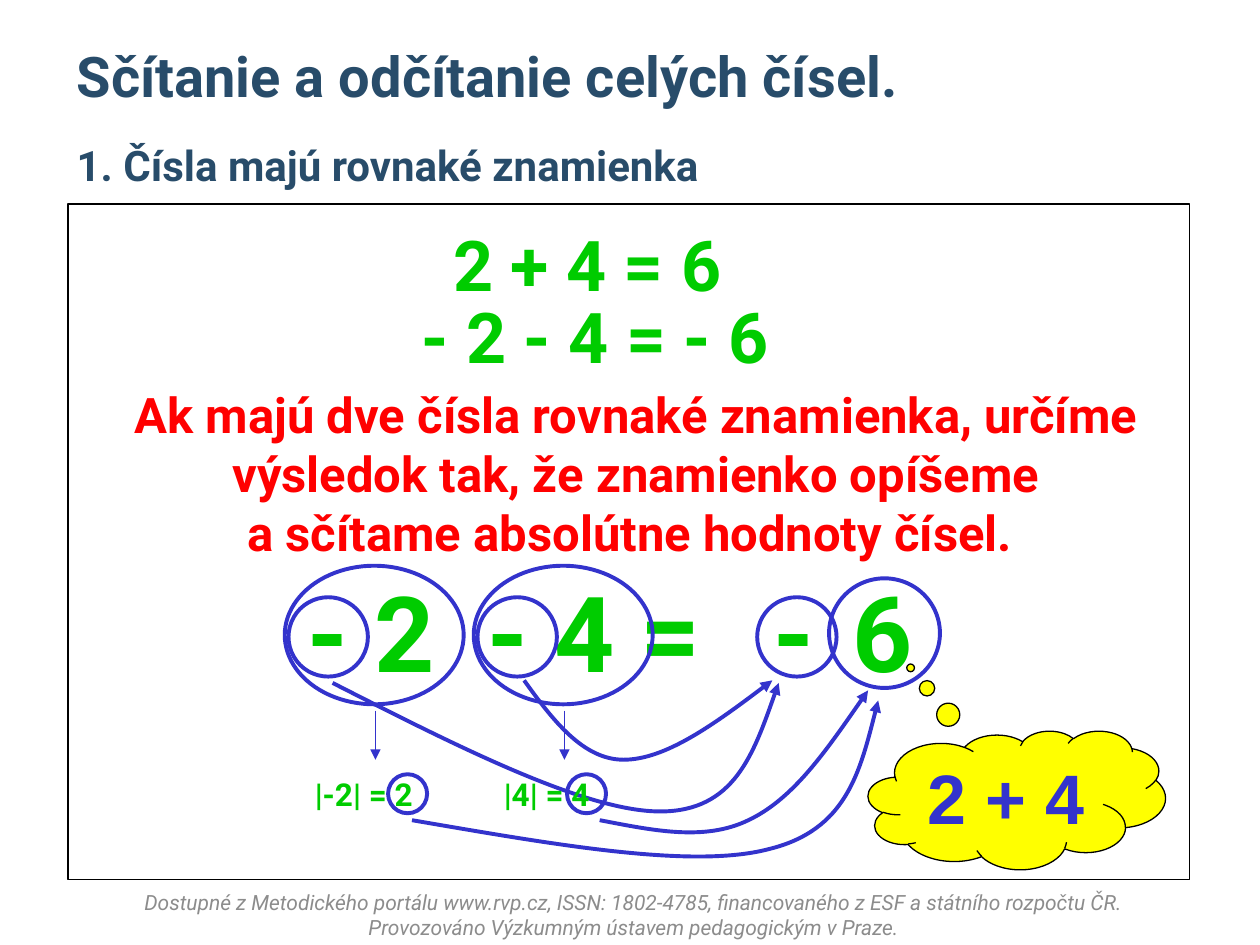
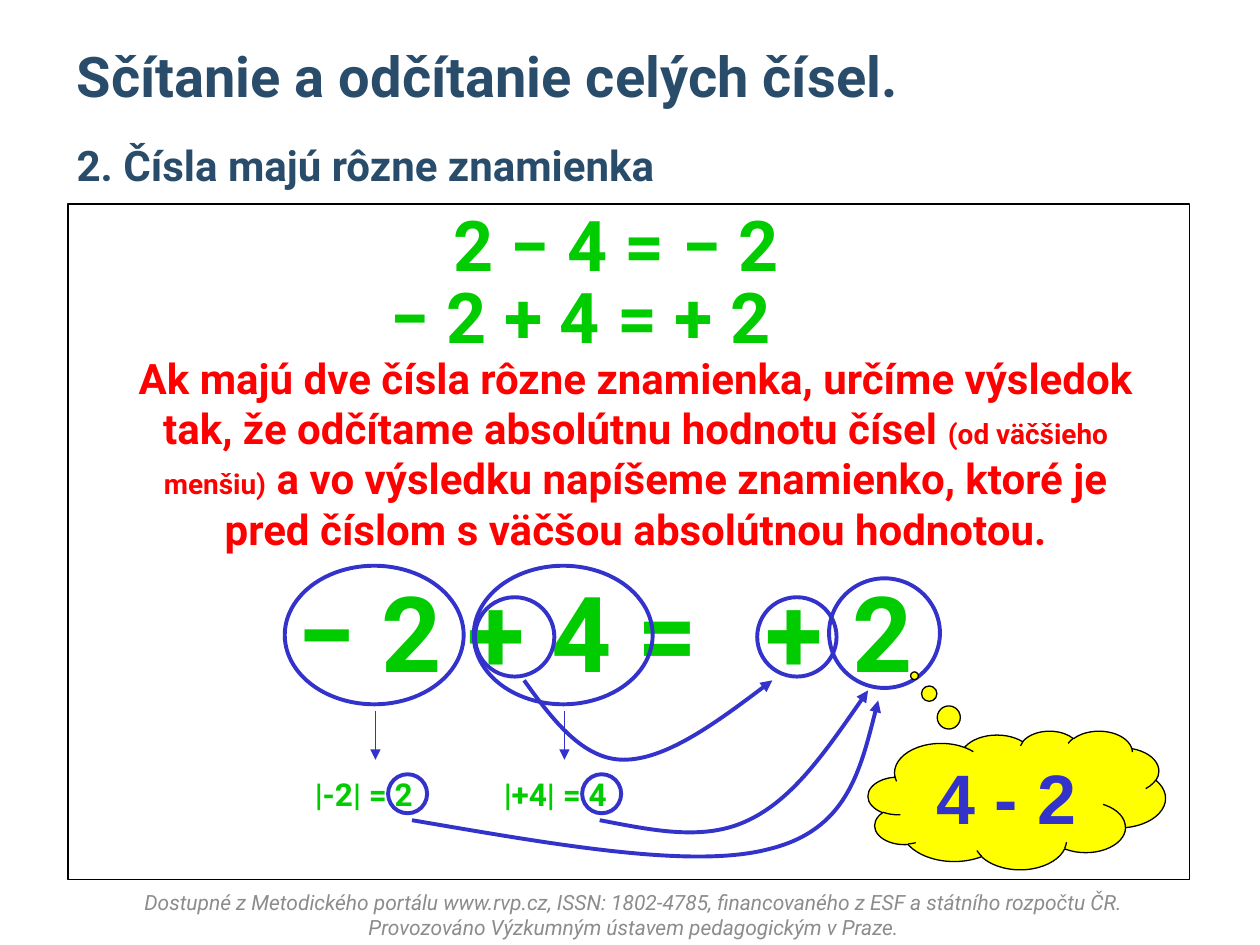
from collections import namedtuple

from lxml import etree
from pptx import Presentation
from pptx.dml.color import RGBColor
from pptx.enum.shapes import MSO_CONNECTOR, MSO_SHAPE
from pptx.enum.text import MSO_ANCHOR, PP_ALIGN
from pptx.oxml.ns import qn
from pptx.util import Inches, Pt

LEFT, CENTER = PP_ALIGN.LEFT, PP_ALIGN.CENTER
MIDDLE = MSO_ANCHOR.MIDDLE
RECTANGLE, OVAL = MSO_SHAPE.RECTANGLE, MSO_SHAPE.OVAL
CLOUD = MSO_SHAPE.CLOUD_CALLOUT
STRAIGHT = MSO_CONNECTOR.STRAIGHT

COLORS = {
    "heading": "284C6A",
    "number": "00CC00",
    "rule": "FF0000",
    "mark": "3333CC",
    "footer": "8C8C8C",
    "cloud": "FFFF00",
    "paper": "FFFFFF",
    "outline": "000000",
}
COLUMNS, ROWS = 100, 75
CELL = Inches(10) / COLUMNS
LINE_HEIGHT = 6.3
TERM_STEP = 15
THIN, THICK = 0.75, 2.25

Box = namedtuple("Box", "left top width height")
HEADING = Box(5.1, 2.8, 89.8, 13.4)
BOARD = Box(5.4, 16.2, 89, 53.6)
DIAGRAM = Box(22.6, 44.9, 51, 24.1)
THOUGHT = Box(68.9, 58, 23.6, 11)
FOOTER = Box(8.9, 70.6, 82.8, 4)

TITLE = "Sčítanie a odčítanie celých čísel."
CREDIT = (
    "Dostupné z Metodického portálu www.rvp.cz, ISSN: 1802-4785, "
    "financovaného z ESF a státního rozpočtu ČR. "
    "Provozováno Výzkumným ústavem pedagogickým v Praze."
)
FIRST_SIGN_PATH = [(3.8, 9.3), (13.8, 14.4), (23.9, 19.5), (29.8, 19.5),
                   (35.7, 19.5), (37.4, 14.4), (39.2, 9.3)]
SECOND_SIGN_PATH = [(19, 9.1), (21.3, 12.3), (23.7, 15.4), (26.9, 15.4),
                    (30.2, 15.4), (34.5, 12.3), (38.7, 9.1)]
VALUE_PATHS = [
    [(25, 20.2), (29.2, 21), (33.3, 21.9), (36.8, 20.2),
     (40.4, 18.5), (43.3, 14.2), (46.3, 9.9)],
    [(10.1, 20.2), (21.2, 22.1), (32.3, 24.1), (38.4, 22.5),
     (44.6, 21), (45.8, 15.8), (47.1, 10.7)],
]

LESSONS = [
    {
        "subtitle": "1. Čísla majú rovnaké znamienka",
        "examples_top": 1.6,
        "examples": [("2 + 4 = 6", 29.6), ("- 2 - 4 = - 6", 27.1)],
        "rule": [("Ak majú dve čísla rovnaké znamienka, určíme výsledok tak, "
                  "že znamienko opíšeme\na sčítame absolútne hodnoty čísel. ", 28)],
        "equation": ("- 2\t- 4 =", 0.8),
        "sign_rings": [0.3, 15.3, 37.5],
        "sign_paths": [SECOND_SIGN_PATH, FIRST_SIGN_PATH],
        "result": [("-", 37.8), ("6", 44.1)],
        "absolutes": [("|-2| = 2", 8.2), ("|4| = 4", 22.4)],
        "thought": "2 + 4",
        "pointer": (-0.357, -0.954),
    },
    {
        "subtitle": "2. Čísla majú rôzne znamienka",
        "examples_top": 0,
        "examples": [("2 − 4 = − 2", 29.6), ("− 2 + 4 = + 2", 24.6)],
        "rule": [("Ak majú dve čísla rôzne znamienka, určíme výsledok tak, "
                  "že odčítame absolútnu hodnotu čísel ", 24),
                 ("(od väčšieho menšiu)", 16),
                 (" a vo výsledku napíšeme znamienko, ktoré je pred číslom "
                  "s väčšou absolútnou hodnotou.", 24)],
        "equation": ("− 2 + 4 =", 0),
        "sign_rings": [15.1, 37.5],
        "sign_paths": [SECOND_SIGN_PATH],
        "result": [("+", 37.2), ("2", 44.1)],
        "absolutes": [("|-2| = 2", 8.2), ("|+4| = 4", 23.6)],
        "thought": "4 - 2",
        "pointer": (-0.344, -0.897),
    },
]


def grid(*cells):
    return [round(cell * CELL) for cell in cells]


def inside(box, left, top, width, height):
    return Box(box.left + left, box.top + top, width, height)


def color(name):
    return RGBColor.from_string(COLORS[name])


def write(frame, runs, size=None, ink="number", font="Roboto", bold=True,
          italic=False, align=LEFT, tab=None):
    frame.word_wrap = True
    frame.vertical_anchor = MIDDLE
    paragraph = frame.paragraphs[0]
    paragraph.alignment = align
    if tab:
        tabs = etree.SubElement(paragraph._p.get_or_add_pPr(), qn("a:tabLst"))
        etree.SubElement(tabs, qn("a:tab"), pos=str(grid(tab)[0]), algn="l")
    if isinstance(runs, str):
        runs = [(runs, size)]
    for text, run_size in runs:
        for index, line in enumerate(text.split("\n")):
            if index:
                paragraph.add_line_break()
            run = paragraph.add_run()
            run.text = line
            run.font.name = font
            run.font.size = Pt(run_size)
            run.font.bold = bold
            run.font.italic = italic
            run.font.color.rgb = color(ink)


def add_text(slide, box, runs, **formatting):
    write(slide.shapes.add_textbox(*grid(*box)).text_frame, runs, **formatting)


def outline(shape, ink, width):
    shape.line.color.rgb = color(ink)
    shape.line.width = Pt(width)


def add_panel(slide, kind, box, fill=None, ink="mark", width=THICK):
    shape = slide.shapes.add_shape(kind, *grid(*box))
    shape.shadow.inherit = False
    if fill:
        shape.fill.solid()
        shape.fill.fore_color.rgb = color(fill)
    else:
        shape.fill.background()
    outline(shape, ink, width)
    return shape


def add_arrowhead(shape):
    line = shape.element.spPr.find(qn("a:ln"))
    etree.SubElement(line, qn("a:tailEnd"), type="triangle")


def add_curve(slide, box, points):
    start, *controls = [grid(box.left + x, box.top + y) for x, y in points]
    builder = slide.shapes.build_freeform(*start)
    builder.add_line_segments(controls, close=False)
    shape = builder.convert_to_shape()
    outline_path = next(shape.element.iter(qn("a:path")))
    segments = outline_path.findall(qn("a:lnTo"))
    for first in range(0, len(segments), 3):
        curve = etree.SubElement(outline_path, qn("a:cubicBezTo"))
        for segment in segments[first:first + 3]:
            curve.append(segment[0])
            outline_path.remove(segment)
    shape.shadow.inherit = False
    shape.fill.background()
    outline(shape, "mark", THICK)
    add_arrowhead(shape)


def add_down_arrow(slide, box):
    connector = slide.shapes.add_connector(
        STRAIGHT, *grid(box.left, box.top, box.left, box.top + box.height))
    outline(connector, "mark", THIN)
    add_arrowhead(connector)
    etree.SubElement(connector.element.spPr, qn("a:effectLst"))


def draw_footer(slide, box):
    add_text(slide, box, CREDIT, size=12, ink="footer", bold=False,
             italic=True, align=CENTER)


def draw_heading(slide, box, subtitle):
    for text, size, top in ((TITLE, 32, 0), (subtitle, 24, 7.1)):
        add_text(slide, inside(box, 0, top, box.width, LINE_HEIGHT), text,
                 size=size, ink="heading")


def draw_board(slide, box, lesson):
    add_panel(slide, RECTANGLE, box, "paper", "outline", THIN)
    top = lesson["examples_top"]
    for index, (example, left) in enumerate(lesson["examples"]):
        add_text(slide, inside(box, left, top + 5.7 * index, 50.4, LINE_HEIGHT),
                 example, size=40)
    add_text(slide, inside(box, 2.9, top + 16.6, 84.3, LINE_HEIGHT),
             lesson["rule"], ink="rule", align=CENTER)


def draw_diagram(slide, box, lesson):
    equation, left = lesson["equation"]
    add_text(slide, inside(box, left, 2, 40.8, LINE_HEIGHT), equation, size=60,
             tab=14.3 if "\t" in equation else None)
    for left in lesson["sign_rings"]:
        add_panel(slide, OVAL, inside(box, left, 2.5, 6.3, 6.3))
    for points in lesson["sign_paths"]:
        add_curve(slide, box, points)
    for text, left in lesson["result"]:
        add_text(slide, inside(box, left, 2, 6.9, LINE_HEIGHT), text, size=60)
    for index, (absolute, ring_left) in enumerate(lesson["absolutes"]):
        left = TERM_STEP * index
        add_panel(slide, OVAL, inside(box, left, 0, 14.2, 11))
        add_down_arrow(slide, inside(box, left + 7.2, 11.5, 0, 3.9))
        add_text(slide, inside(box, left + 1.4, 15, 11.8, LINE_HEIGHT),
                 absolute, size=18)
        add_panel(slide, OVAL, inside(box, ring_left, 16.55, 3.1, 3.1))
    add_panel(slide, OVAL, inside(box, 43.2, 1, 8.8, 8.7))
    for points in VALUE_PATHS:
        add_curve(slide, box, points)


def draw_thought(slide, box, text, pointer):
    cloud = add_panel(slide, CLOUD, box, "cloud", "outline", THIN)
    for index, share in enumerate(pointer):
        cloud.adjustments[index] = share
    write(cloud.text_frame, text, size=40, ink="mark", font="Arial",
          align=CENTER)


def draw_lesson(presentation, lesson):
    slide = presentation.slides.add_slide(presentation.slide_layouts[6])
    draw_footer(slide, FOOTER)
    draw_board(slide, BOARD, lesson)
    draw_heading(slide, HEADING, lesson["subtitle"])
    draw_diagram(slide, DIAGRAM, lesson)
    draw_thought(slide, THOUGHT, lesson["thought"], lesson["pointer"])


def main():
    presentation = Presentation()
    presentation.slide_width, presentation.slide_height = grid(COLUMNS, ROWS)
    for lesson in LESSONS:
        draw_lesson(presentation, lesson)
    presentation.save("out.pptx")


if __name__ == "__main__":
    main()
